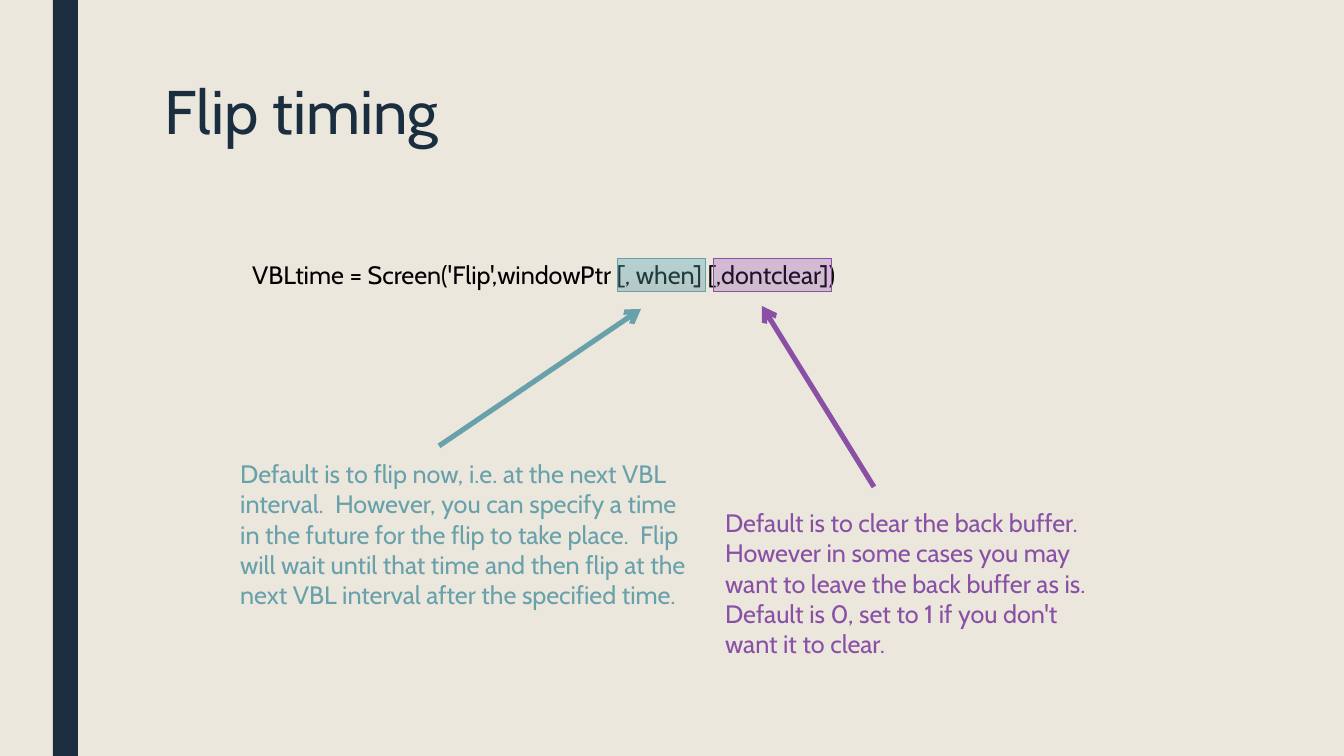
from lxml import etree
from pptx import Presentation
from pptx.dml.color import RGBColor
from pptx.enum.shapes import MSO_CONNECTOR, MSO_SHAPE
from pptx.enum.text import MSO_ANCHOR, MSO_AUTO_SIZE, PP_ALIGN
from pptx.oxml.ns import qn
from pptx.util import Pt

RECTANGLE = MSO_SHAPE.RECTANGLE
STRAIGHT = MSO_CONNECTOR.STRAIGHT
TOP = MSO_ANCHOR.TOP
LEFT = PP_ALIGN.LEFT
GROW = MSO_AUTO_SIZE.SHAPE_TO_FIT_TEXT
NO_FIT = MSO_AUTO_SIZE.NONE

EMU_PER_PX = 914400 / 134.4
FONT = "Cabin"
NAVY, CREAM, BLACK = "1A2E40", "EBE7DD", "000000"
TEAL, PURPLE = "69A1AB", "8950A6"


def px(*lengths):
    return [round(length * EMU_PER_PX) for length in lengths]


def color(value):
    return RGBColor.from_string(value)


def write_text(shape, text, size=13.5, fill=BLACK, spacing=None, fit=GROW):
    frame = shape.text_frame
    frame.word_wrap = True
    frame.auto_size = fit
    frame.vertical_anchor = TOP
    paragraph = frame.paragraphs[0]
    paragraph.alignment = LEFT
    paragraph.line_spacing = spacing
    run = paragraph.add_run()
    run.text = text
    run.font.name = FONT
    run.font.size = Pt(size)
    run.font.color.rgb = color(fill)


def add_text(shapes, box, text, **text_format):
    write_text(shapes.add_textbox(*px(*box)), text, **text_format)


def add_title(slide, box, text, **text_format):
    title = slide.shapes.title
    title.left, title.top, title.width, title.height = px(*box)
    write_text(title, text, **text_format)


def add_bar(shapes, box, fill):
    bar = shapes.add_shape(RECTANGLE, *px(*box))
    bar.shadow.inherit = False
    bar.fill.solid()
    bar.fill.fore_color.rgb = color(fill)
    bar.line.fill.background()


def add_highlight(shapes, box, gradient, opacity, outline):
    highlight = shapes.add_shape(RECTANGLE, *px(*box))
    highlight.shadow.inherit = False
    highlight.fill.gradient()
    highlight.fill.gradient_angle = 90
    for stop, value in zip(highlight.fill.gradient_stops, gradient):
        stop.color.rgb = color(value)
    for element in highlight.element.spPr.iter(qn("a:srgbClr")):
        etree.SubElement(element, qn("a:alpha"), val=str(opacity * 1000))
    highlight.line.color.rgb = color(outline)
    highlight.line.width = Pt(0.5)


def add_arrow(shapes, ends, stroke):
    arrow = shapes.add_connector(STRAIGHT, *px(*ends))
    arrow.line.color.rgb = color(stroke)
    arrow.line.width = Pt(2.75)
    properties = arrow.element.spPr
    etree.SubElement(properties.find(qn("a:ln")), qn("a:tailEnd"), type="arrow")
    etree.SubElement(properties, qn("a:effectLst"))


def add_callout(slide, accent, highlight, gradient, opacity, arrow, box, text):
    shapes = slide.shapes.add_group_shape().shapes
    add_highlight(shapes, highlight, gradient, opacity, accent)
    add_arrow(shapes, arrow, accent)
    add_text(shapes, box, text, fill=accent)


def main():
    presentation = Presentation()
    presentation.slide_width, presentation.slide_height = px(1344, 756)
    slide = presentation.slides.add_slide(presentation.slide_layouts[5])
    slide.background.fill.solid()
    slide.background.fill.fore_color.rgb = color(CREAM)

    add_bar(slide.shapes, (53, 0, 25, 756), NAVY)
    add_title(slide, (151, 75, 1059, 164), "Flip timing",
              size=33, fill=NAVY, spacing=0.89, fit=NO_FIT)
    add_text(slide.shapes, (239, 253, 664, 44),
             "VBLtime = Screen('Flip',windowPtr [, when] [,dontclear])")
    add_callout(
        slide, TEAL, (618, 259, 88, 33), ("5A98A3", "58ACBB"), 36,
        (439, 446, 641, 309), (227, 452, 473, 167),
        "Default is to flip now, i.e. at the next VBL interval.  However, "
        "you can specify a time in the future for the flip to take place.  "
        "Flip will wait until that time and then flip at the next VBL "
        "interval after the specified time.")
    add_callout(
        slide, PURPLE, (714, 259, 118, 33), ("8146A3", "903BBC"), 26,
        (874, 487, 762, 306), (712, 501, 407, 167),
        "Default is to clear the back buffer.  However in some cases you "
        "may want to leave the back buffer as is.  Default is 0, set to 1 "
        "if you don't want it to clear.")
    presentation.save("out.pptx")


if __name__ == "__main__":
    main()
